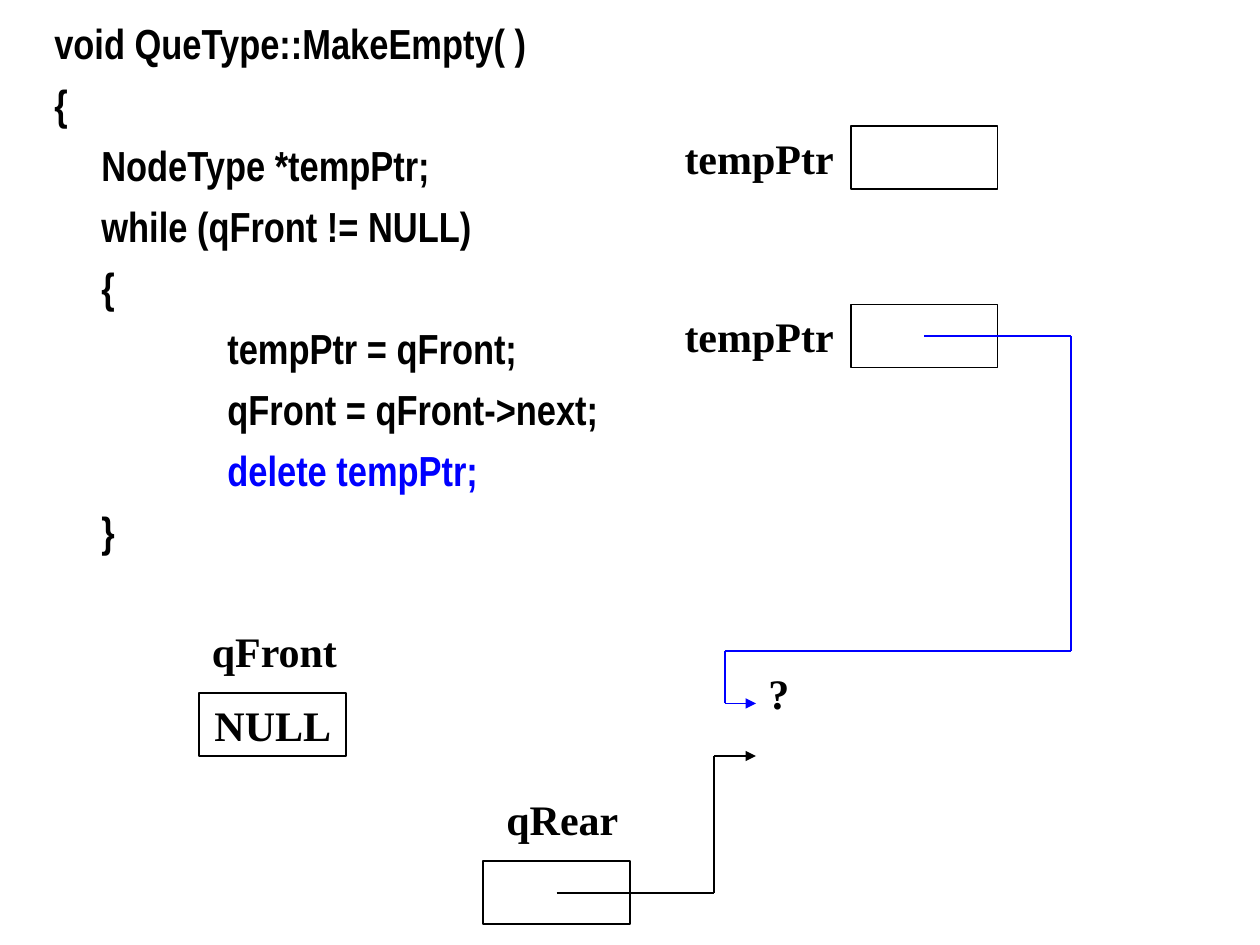
from itertools import pairwise

from lxml.etree import SubElement
from pptx import Presentation
from pptx.dml.color import RGBColor
from pptx.enum.shapes import MSO_CONNECTOR as Connector, MSO_SHAPE as Shape
from pptx.enum.text import MSO_ANCHOR as Anchor, MSO_AUTO_SIZE as AutoSize, PP_ALIGN as Align
from pptx.oxml.ns import qn
from pptx.util import Cm, Pt

BLACK, BLUE, WHITE = "000000", "0000FF", "FFFFFF"
CELL_W, CELL_H = 2.96, 1.27
ABOVE = -1.48
CODE = [
    (0, "void QueType::MakeEmpty( )", BLACK),
    (0, "{", BLACK),
    (0.95, "NodeType *tempPtr;", BLACK),
    (0.95, "while (qFront != NULL)", BLACK),
    (0.95, "{", BLACK),
    (3.49, "tempPtr = qFront;", BLACK),
    (3.49, "qFront = qFront->next;", BLACK),
    (3.49, "delete tempPtr;", BLUE),
    (0.95, "}", BLACK),
]


def rgb(color):
    return RGBColor.from_string(color)


def set_font(paragraph, name, color=BLACK):
    font = paragraph.font
    font.name, font.size, font.bold = name, Pt(24), True
    font.color.rgb = rgb(color)


def add_code(body, left, top, width, height):
    body.left, body.top, body.width, body.height = map(Cm, (left, top, width, height))
    frame = body.text_frame
    frame.auto_size, frame.vertical_anchor = AutoSize.NONE, Anchor.TOP
    frame.text = "\n".join(text for _, text, _ in CODE)
    for row, (paragraph, (indent, _, color)) in enumerate(zip(frame.paragraphs, CODE)):
        set_font(paragraph, "Arial Narrow", color)
        paragraph.space_before = Pt(6 if row else 0)
        properties = paragraph._p.get_or_add_pPr()
        properties.set("marL", str(Cm(indent)))
        properties.set("indent", "0")
        SubElement(properties, qn("a:buNone"))


def add_label(shapes, text, left, top, width, wrap=True):
    label = shapes.add_textbox(Cm(left), Cm(top), Cm(width), Cm(CELL_H))
    label.text_frame.word_wrap = wrap
    label.text_frame.text = text
    set_font(label.text_frame.paragraphs[0], "Times New Roman")


def add_pointer(shapes, left, top, name, label_dx, label_dy, label_w, value=""):
    cell = shapes.add_shape(Shape.RECTANGLE, Cm(left), Cm(top), Cm(CELL_W), Cm(CELL_H))
    cell.shadow.inherit = False
    cell.fill.solid()
    cell.fill.fore_color.rgb = rgb(WHITE)
    cell.line.color.rgb = rgb(BLACK)
    cell.line.width = Pt(1)
    if value:
        frame = cell.text_frame
        frame.word_wrap, frame.vertical_anchor = False, Anchor.MIDDLE
        frame.text = value
        frame.paragraphs[0].alignment = Align.CENTER
        set_font(frame.paragraphs[0], "Times New Roman")
    add_label(shapes, name, left + label_dx, top + label_dy, label_w)
    return left + CELL_W / 2, top + CELL_H / 2


def add_arrow(shapes, color, start, corners):
    for begin, end in pairwise([start, *corners]):
        segment = shapes.add_connector(Connector.STRAIGHT, *map(Cm, (*begin, *end)))
        segment.line.color.rgb = rgb(color)
        segment.line.width = Pt(1)
        SubElement(segment._element.spPr, qn("a:effectLst"))
    SubElement(segment.line._get_or_add_ln(), qn("a:tailEnd"), type="triangle")


def main():
    deck = Presentation()
    deck.slide_width, deck.slide_height = Cm(25.4), Cm(19.05)
    slide = deck.slides.add_slide(deck.slide_layouts[1])
    shapes = slide.shapes
    title = shapes.title._element
    title.getparent().remove(title)

    add_code(slide.placeholders[1], 0.84, 0.23, 24.1, 11.43)

    add_pointer(shapes, 4.02, 13.97, "qFront", 0, ABOVE, 3.89, "NULL")
    rear_x, rear_y = add_pointer(shapes, 9.74, 17.36, "qRear", 0.22, ABOVE, 3.89)
    add_arrow(shapes, BLACK, (rear_x, rear_y),
              [(14.39, rear_y), (14.39, 15.24), (15.24, 15.24)])

    for top in (2.54, 6.14):
        temp_x, temp_y = add_pointer(shapes, 17.15, top, "tempPtr", -3.6, 0, 4.52)
    add_arrow(shapes.add_group_shape().shapes, BLUE, (temp_x, temp_y),
              [(21.59, temp_y), (21.59, 13.12), (14.61, 13.12), (14.61, 14.18), (15.24, 14.18)])
    add_label(shapes, "?", 15.24, 13.34, 0.91, wrap=False)

    deck.save("out.pptx")


if __name__ == "__main__":
    main()
